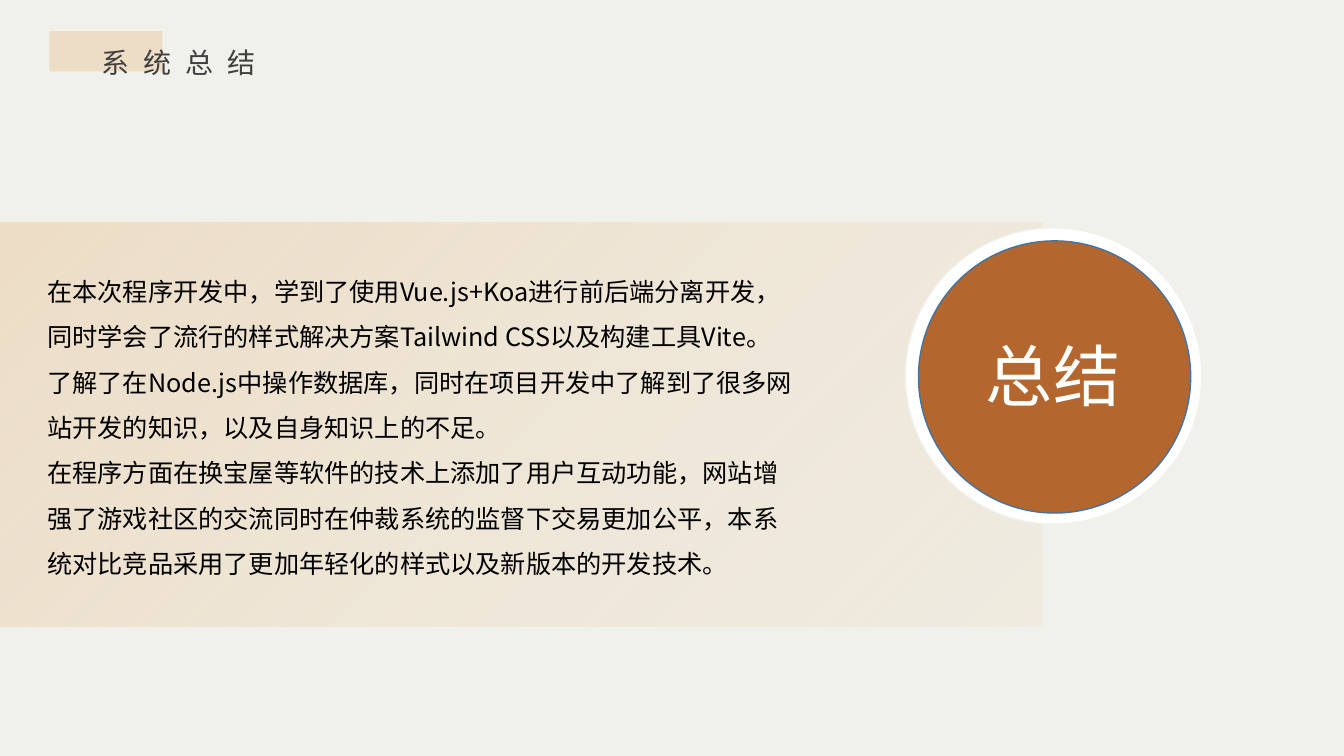
from lxml import etree
from pptx import Presentation
from pptx import util as u
from pptx.dml.color import RGBColor
from pptx.enum import shapes, text
from pptx.oxml.ns import qn

PX = 9144  # 100 px to the inch
FONT = "Noto Sans CJK SC"
PAPER = RGBColor(0xF1, 0xF1, 0xEB)
SAND = RGBColor(0xED, 0xDD, 0xC6)
RUST = RGBColor(0xB3, 0x67, 0x2E)
BLUE = RGBColor(0x43, 0x73, 0x9E)
GREY = RGBColor(0x40, 0x40, 0x40)
BLACK = RGBColor(0, 0, 0)
WHITE = RGBColor(0xFF, 0xFF, 0xFF)

SUMMARY = [
    "在本次程序开发中，学到了使用Vue.js+Koa进行前后端分离开发，同时学会了流行的样式解决方案"
    "Tailwind CSS以及构建工具Vite。了解了在Node.js中操作数据库，同时在项目开发中了解到了很多"
    "网站开发的知识，以及自身知识上的不足。",
    "在程序方面在换宝屋等软件的技术上添加了用户互动功能，网站增强了游戏社区的交流同时在仲裁系统的"
    "监督下交易更加公平，本系统对比竞品采用了更加年轻化的样式以及新版本的开发技术。",
]


def px(*lengths):
    return [u.Emu(length * PX) for length in lengths]


def add_block(slide, kind, box, fill, line=None):
    shape = slide.shapes.add_shape(kind, *px(*box))
    shape.shadow.inherit = False
    shape.fill.solid()
    shape.fill.fore_color.rgb = fill
    if line is None:
        shape.line.fill.background()
    else:
        shape.line.color.rgb = line
        shape.line.width = u.Pt(1)
    return shape


def fade(shape, color, stops):
    """Fill diagonally with one colour; stops are (position, opacity) in percent."""
    shape.fill.gradient()
    shape.fill.gradient_angle = 315
    stop_list = shape._element.spPr.find(qn("a:gradFill")).find(qn("a:gsLst"))
    for stop in list(stop_list):
        stop_list.remove(stop)
    for position, opacity in stops:
        stop = etree.SubElement(stop_list, qn("a:gs"), pos=str(position * 1000))
        rgb = etree.SubElement(stop, qn("a:srgbClr"), val=str(color))
        if opacity < 100:
            etree.SubElement(rgb, qn("a:alpha"), val=str(opacity * 1000))


def add_text(slide, box, paragraphs, size, color, line_spacing=1.0, tracking=0):
    """Add a text box; tracking is the letter spacing in points."""
    text_frame = slide.shapes.add_textbox(*px(*box)).text_frame
    text_frame.word_wrap = True
    text_frame.auto_size = text.MSO_AUTO_SIZE.SHAPE_TO_FIT_TEXT
    text_frame.text = "\n".join(paragraphs)
    for paragraph in text_frame.paragraphs:
        paragraph.line_spacing = line_spacing
        for run in paragraph.runs:
            run.font.size = u.Pt(size)
            run.font.color.rgb = color
            run.font.name = FONT
            properties = run.font._element
            etree.SubElement(properties, qn("a:ea"), typeface=FONT)
            if tracking:
                properties.set("spc", str(tracking * 100))


def main():
    presentation = Presentation()
    presentation.slide_width, presentation.slide_height = u.Inches(13.33), u.Inches(7.5)
    slide = presentation.slides.add_slide(presentation.slide_layouts[6])
    slide.background.fill.solid()
    slide.background.fill.fore_color.rgb = PAPER

    rectangle, oval = shapes.MSO_SHAPE.RECTANGLE, shapes.MSO_SHAPE.OVAL
    panel = add_block(slide, rectangle, (-12, 221, 1046, 401), SAND)
    fade(panel, SAND, [(0, 100), (50, 54), (100, 27)])
    add_block(slide, oval, (898, 226, 294, 294), WHITE, PAPER)
    add_block(slide, rectangle, (49, 31, 112, 40), SAND)
    add_text(slide, (91, 24, 350, 55), ["系统总结"], 20, GREY, 1.5, tracking=10)
    add_text(slide, (37, 254, 759, 323), SUMMARY, 18, BLACK, 1.5)
    add_block(slide, oval, (911, 239, 270, 270), RUST, BLUE)
    add_text(slide, (968, 327, 167, 91), ["总结"], 48, WHITE)

    presentation.save("out.pptx")


if __name__ == "__main__":
    main()
